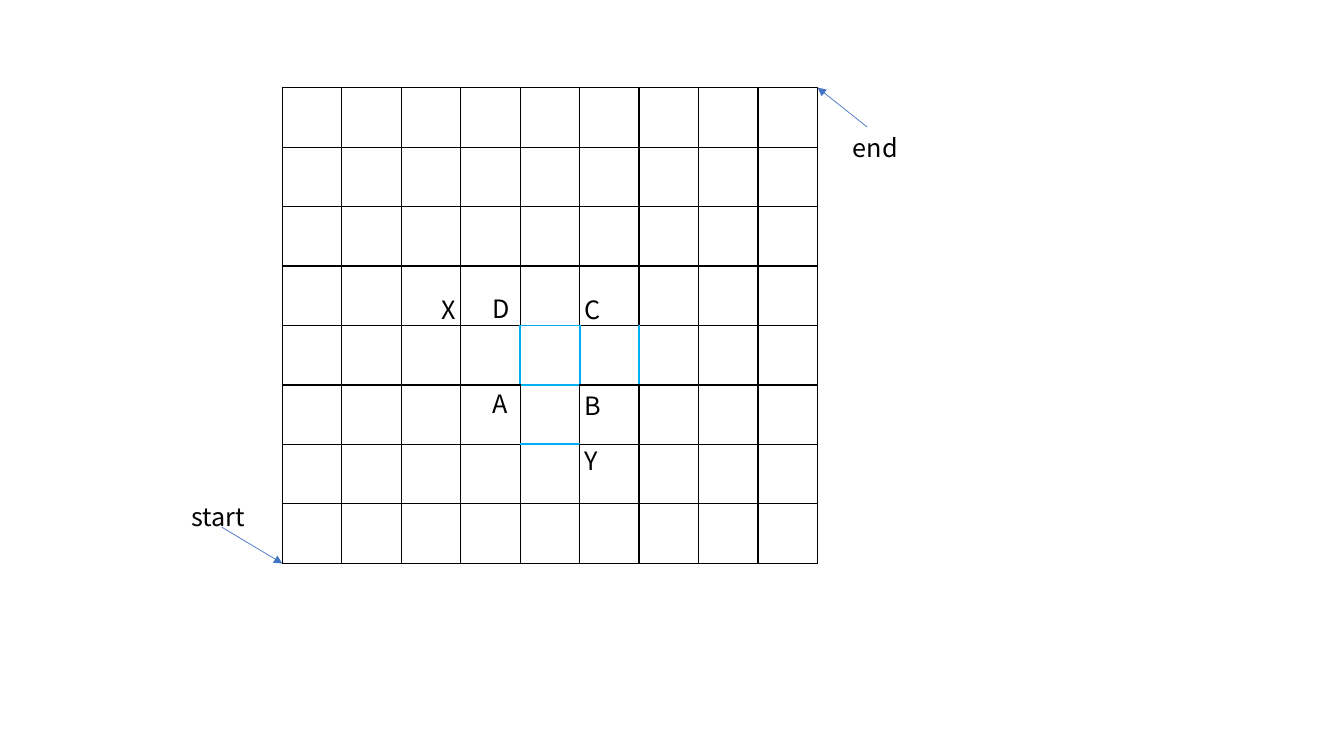
import pptx
import pptx.dml.color
import pptx.enum.dml
import pptx.enum.shapes
import pptx.enum.text
import pptx.oxml
import pptx.oxml.ns
import pptx.util
from pptx.util import Inches

FONT = "Noto Sans CJK SC"
ROWS, COLUMNS, CELL = 8, 9, 0.59
BLUE_TOPS = {(4, 4), (5, 4), (6, 4)}
BLUE_LEFTS = {(4, 4), (4, 5), (4, 6)}


def color(value):
    """Turn a hex string into a colour."""
    return pptx.dml.color.RGBColor.from_string(value)


def add_text(slide, text, left, top, width, height=0.4, size=18, fill="000000"):
    """Add a one-line label that grows with its text."""
    box = slide.shapes.add_textbox(Inches(left), Inches(top), Inches(width), Inches(height))
    frame = box.text_frame
    frame.word_wrap = True
    frame.auto_size = pptx.enum.text.MSO_AUTO_SIZE.SHAPE_TO_FIT_TEXT
    run = frame.paragraphs[0].add_run()
    run.text = text
    run.font.name = FONT
    run.font.size = pptx.util.Pt(size)
    run.font.color.rgb = color(fill)


def add_arrow(slide, start, end):
    """Add a thin blue arrow that points at its end."""
    connector = slide.shapes.add_connector(
        pptx.enum.shapes.MSO_CONNECTOR.STRAIGHT, *map(Inches, start + end))
    connector.line.color.rgb = color("4472C4")
    connector.line.width = pptx.util.Pt(0.5)
    namespace = pptx.oxml.ns.nsdecls("a")
    connector.line._get_or_add_ln().append(
        pptx.oxml.parse_xml(f'<a:tailEnd {namespace} type="triangle"/>'))
    connector._element.spPr.append(pptx.oxml.parse_xml(f"<a:effectLst {namespace}/>"))


def add_border(cell, side, blue):
    """Draw one side of a cell, blue and heavier on a marked edge."""
    value, width = ("00B0F0", 1.5) if blue else ("000000", 1)
    cell._tc.get_or_add_tcPr().append(pptx.oxml.parse_xml(
        f'<a:ln{side} {pptx.oxml.ns.nsdecls("a")} w="{pptx.util.Pt(width)}">'
        f'<a:solidFill><a:srgbClr val="{value}"/></a:solidFill></a:ln{side}>'))


def add_grid(slide, left, top):
    """Add the street grid with its marked edges."""
    table = slide.shapes.add_table(
        ROWS, COLUMNS, Inches(left), Inches(top),
        Inches(COLUMNS * CELL), Inches(ROWS * CELL)).table
    table.first_row = table.horz_banding = False
    for line in [*table.columns]:
        line.width = Inches(CELL)
    for row, line in enumerate(table.rows):
        line.height = Inches(CELL)
        for column, cell in enumerate(line.cells):
            add_border(cell, "L", (row, column) in BLUE_LEFTS)
            add_border(cell, "R", (row, column + 1) in BLUE_LEFTS)
            add_border(cell, "T", (row, column) in BLUE_TOPS)
            add_border(cell, "B", (row + 1, column) in BLUE_TOPS)
            cell.fill.solid()
            cell.fill.fore_color.rgb = color("FFFFFF")


def add_route_ends(slide, left, top):
    """Point out the start and end corners of the grid."""
    right, bottom = left + COLUMNS * CELL, top + ROWS * CELL
    add_arrow(slide, (left - 0.6, bottom - 0.36), (left, bottom))
    add_arrow(slide, (right + 0.49, top + 0.39), (right, top))
    add_text(slide, "start", left - 1, bottom - 0.67, 1)
    add_text(slide, "end", right + 0.25, top + 0.39, 1)


def add_crossing_names(slide, left, top):
    """Name the crossings around the marked edges."""
    crossings = [("A", 1.99, 2.93), ("B", 2.9, 2.95), ("D", 1.99, 1.99),
                 ("C", 2.9, 2), ("X", 1.48, 2), ("Y", 2.9, 3.5)]
    for name, across, down in crossings:
        add_text(slide, name, left + across, top + down, 0.37)


def build_slide(presentation, left=2.8, top=0.87):
    """Build the grid slide around the grid's top left corner."""
    slide = presentation.slides.add_slide(presentation.slide_layouts[6])
    add_grid(slide, left, top)
    add_route_ends(slide, left, top)
    add_crossing_names(slide, left, top)


presentation = pptx.Presentation()
presentation.slide_width = Inches(13.33)
presentation.slide_height = Inches(7.5)
build_slide(presentation)
presentation.save("out.pptx")
